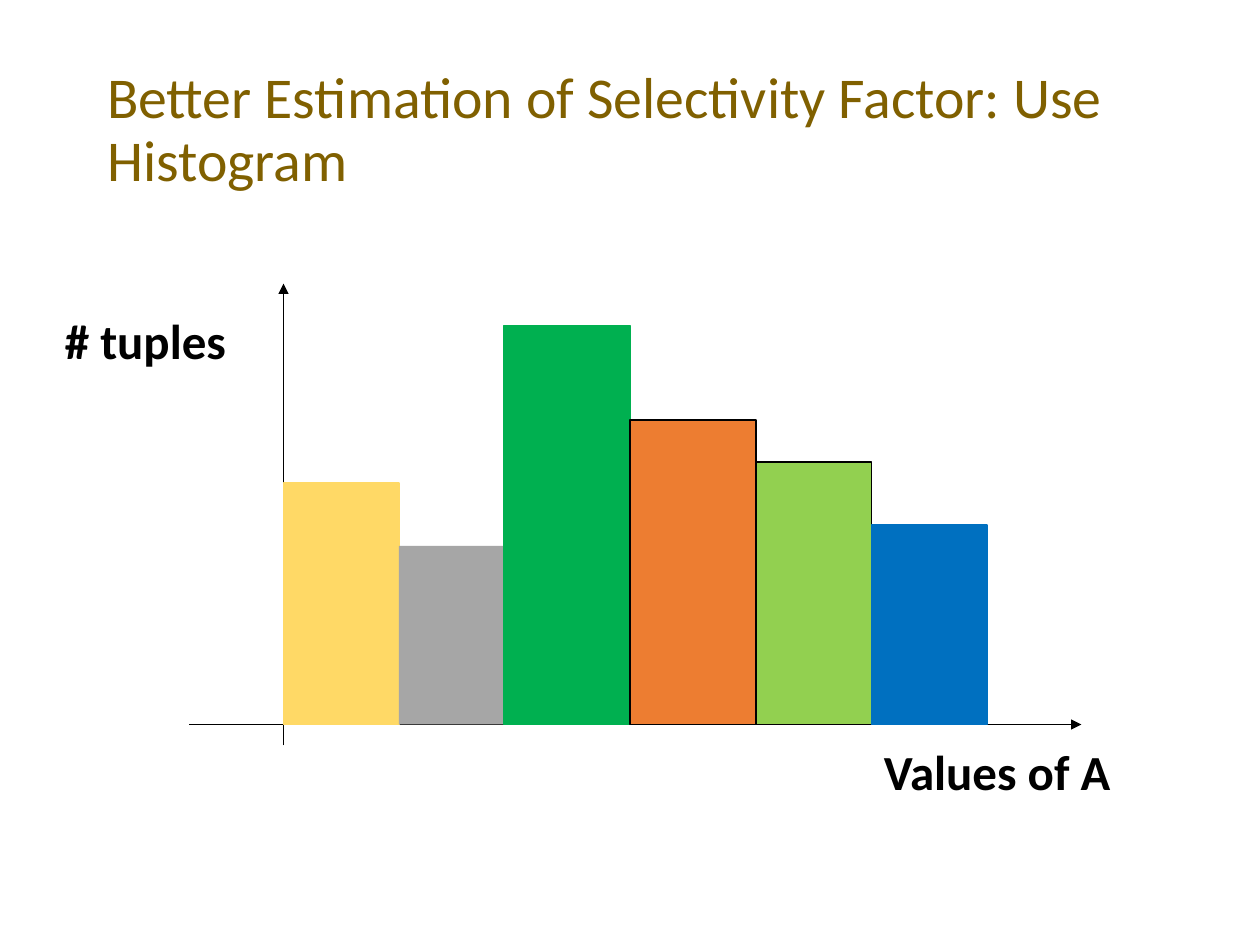
from pptx import Presentation
from pptx import util as u
from pptx.dml.color import RGBColor
from pptx.enum import shapes, text
from pptx.oxml.ns import qn
from lxml import etree

PX = u.Inches(1) // 120  # 120 px to the inch

BLACK = RGBColor(0x00, 0x00, 0x00)
BROWN = RGBColor(0x80, 0x60, 0x00)
YELLOW = RGBColor(0xFF, 0xD9, 0x66)
GREY = RGBColor(0xA6, 0xA6, 0xA6)
GREEN = RGBColor(0x00, 0xB0, 0x50)
ORANGE = RGBColor(0xED, 0x7D, 0x31)
LIME = RGBColor(0x92, 0xD0, 0x50)
BLUE = RGBColor(0x00, 0x70, 0xC0)

ORIGIN_X, BASELINE = 270, 690
LINE_WIDTH = u.Pt(0.75)

# Histogram buckets: width, height, fill, outline
BUCKETS = [
    (110, 230, YELLOW, YELLOW),
    (100, 170, GREY, None),
    (120, 380, GREEN, GREEN),
    (120, 290, ORANGE, BLACK),
    (110, 250, LIME, BLACK),
    (110, 190, BLUE, BLUE),
]

TITLE_FONT = {"name": "Calibri", "size": u.Pt(33), "bold": False}
LABEL_FONT = {"name": "Calibri", "size": u.Pt(28), "bold": True}
TITLE_FRAME = {"word_wrap": True, "auto_size": text.MSO_AUTO_SIZE.NONE,
               "vertical_anchor": text.MSO_ANCHOR.MIDDLE}
LABEL_FRAME = {"word_wrap": False,
               "auto_size": text.MSO_AUTO_SIZE.SHAPE_TO_FIT_TEXT}


def px(*lengths):
    return [length * PX for length in lengths]


def set_attributes(target, values):
    for name, value in values.items():
        setattr(target, name, value)


def write_text(shape, words, frame_format, font_format, color):
    frame = shape.text_frame
    set_attributes(frame, frame_format)
    paragraph = frame.paragraphs[0]
    paragraph.alignment = text.PP_ALIGN.LEFT
    run = paragraph.add_run()
    run.text = words
    set_attributes(run.font, font_format)
    run.font.color.rgb = color
    return paragraph


def set_title(slide, words, box):
    title = slide.shapes.title
    set_attributes(title, dict(zip(("left", "top", "width", "height"), px(*box))))
    paragraph = write_text(title, words, TITLE_FRAME, TITLE_FONT, BROWN)
    paragraph.line_spacing = 0.9


def add_label(slide, words, box):
    label = slide.shapes.add_textbox(*px(*box))
    write_text(label, words, LABEL_FRAME, LABEL_FONT, BLACK)


def add_axis(slide, start, end):
    axis = slide.shapes.add_connector(shapes.MSO_CONNECTOR.STRAIGHT, *px(*start, *end))
    axis.line.color.rgb = BLACK
    axis.line.width = LINE_WIDTH
    properties = axis.element.spPr
    etree.SubElement(properties.find(qn("a:ln")), qn("a:tailEnd"), type="triangle")
    etree.SubElement(properties, qn("a:effectLst"))


def add_bucket(slide, left, width, height, fill, outline):
    bucket = slide.shapes.add_shape(shapes.MSO_SHAPE.RECTANGLE,
                                    *px(left, BASELINE - height, width, height))
    bucket.shadow.inherit = False
    bucket.fill.solid()
    bucket.fill.fore_color.rgb = fill
    if outline is None:
        bucket.line.fill.background()
    else:
        bucket.line.color.rgb = outline
        bucket.line.width = LINE_WIDTH


def add_histogram(slide):
    left = ORIGIN_X
    for width, height, fill, outline in BUCKETS:
        add_bucket(slide, left, width, height, fill, outline)
        left += width


def main():
    presentation = Presentation()
    presentation.slide_width, presentation.slide_height = px(1200, 900)
    slide = presentation.slides.add_slide(presentation.slide_layouts[5])

    set_title(slide, "Better Estimation of Selectivity Factor: Use Histogram",
              (90, 40, 1020, 170))

    # Axes and their labels
    add_axis(slide, (180, BASELINE), (1030, BASELINE))
    add_axis(slide, (ORIGIN_X, 710), (ORIGIN_X, 270))
    add_label(slide, "Values of A", (830, 700, 250, 68))
    add_label(slide, "# tuples", (50, 290, 180, 68))

    # Buckets side by side on the baseline
    add_histogram(slide)

    presentation.save("out.pptx")


if __name__ == "__main__":
    main()
